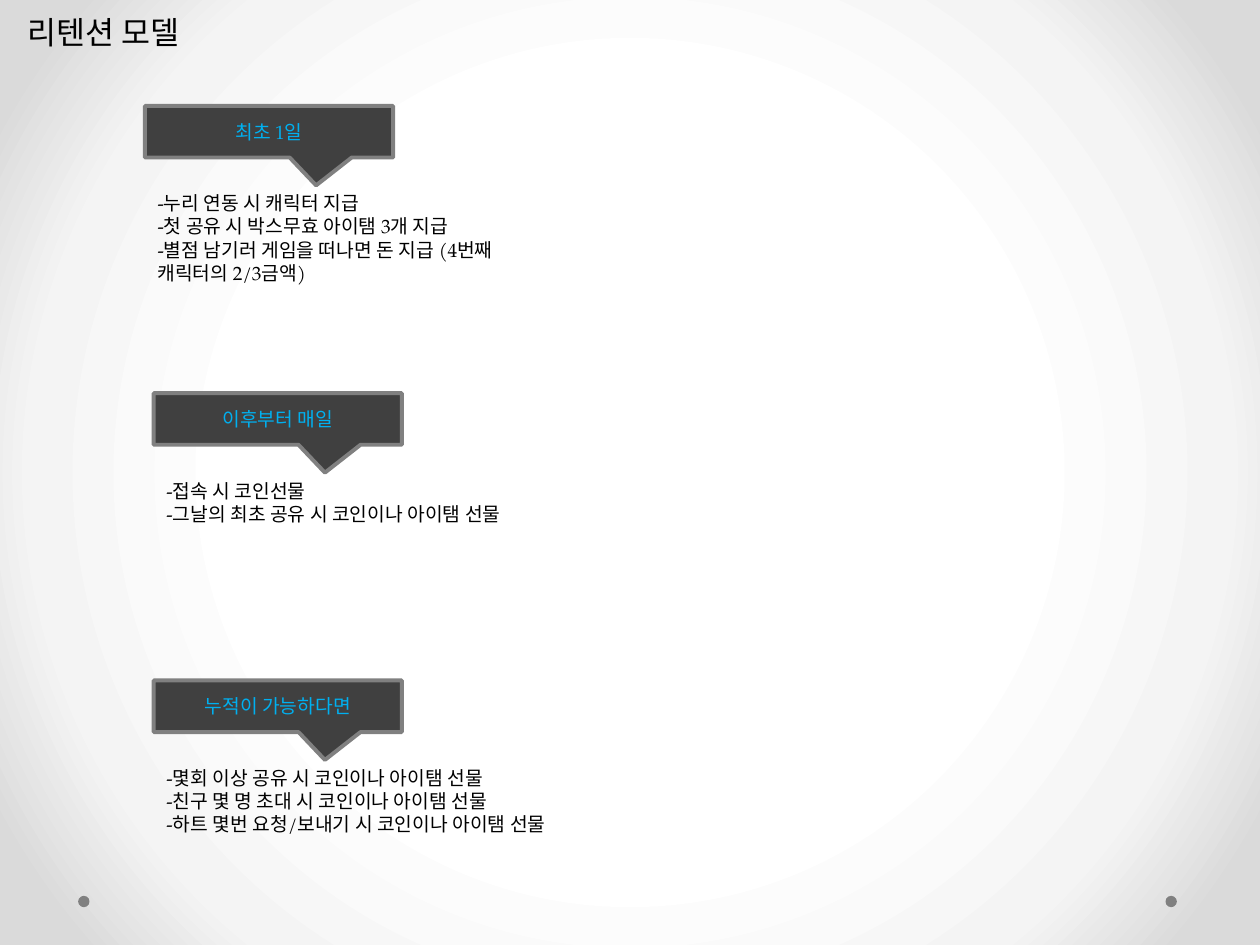
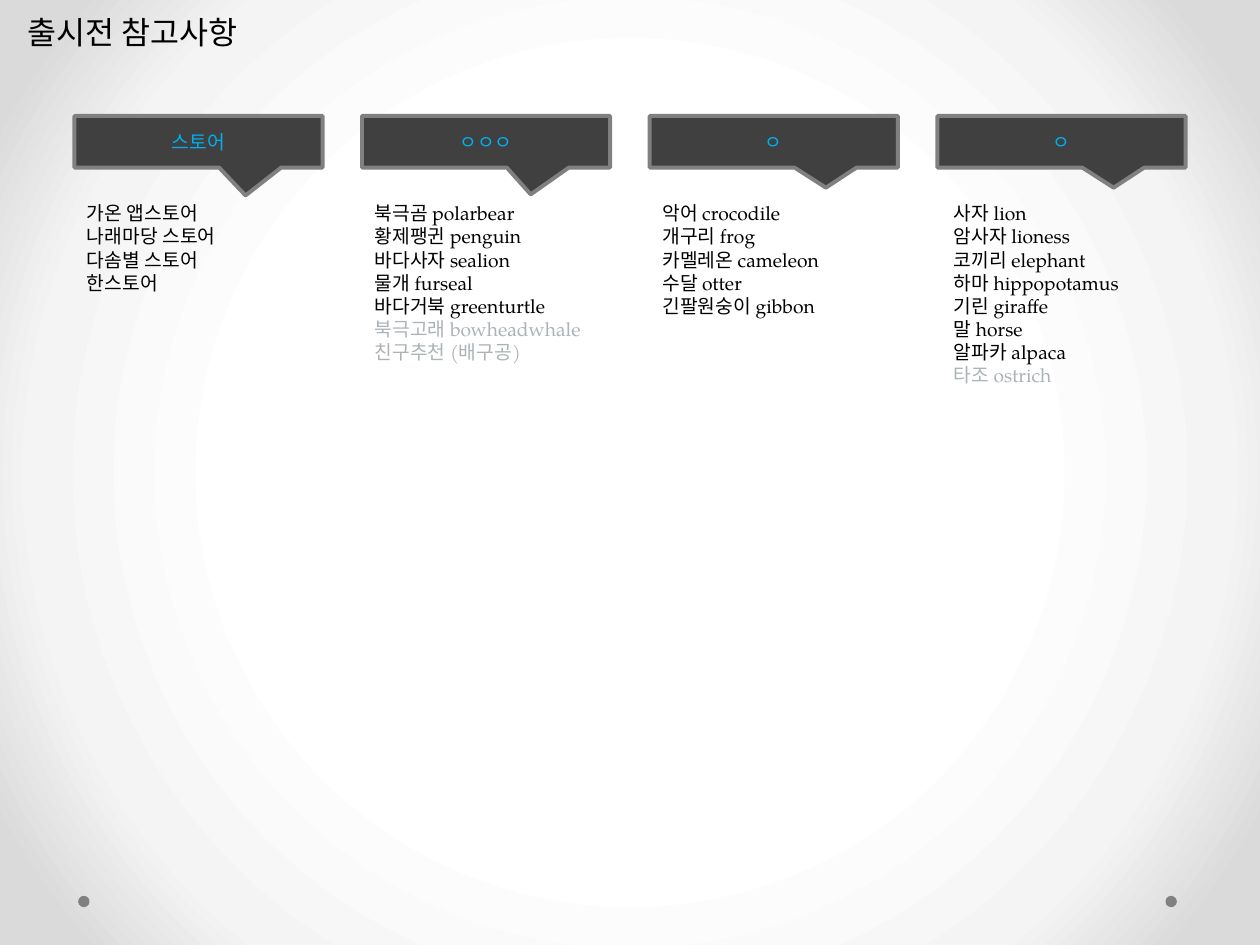
"""Build two slides of callout-headed lists for a game launch plan."""
from dataclasses import dataclass
from typing import Any

from pptx import Presentation
from pptx import oxml
from pptx import util as u
from pptx.dml.color import RGBColor
from pptx.enum import shapes, text
from pptx.oxml import ns


@dataclass(frozen=True)
class Theme:
    font: str = "TeX Gyre Pagella"
    title_size: int = 18
    text_size: int = 11
    ink: str = "000000"
    muted: str = "ACB3B6"
    accent: str = "00B0F0"
    band: str = "404040"
    edge: str = "808080"
    edge_width: float = 2.25
    glow: tuple[tuple[int, str], ...] = ((50, "FFFFFF"), (76, "F4F4F4"), (92, "DADADA"))


@dataclass(frozen=True)
class Card:
    heading: str
    lines: tuple[str, ...]
    width: float
    height: float
    tip: tuple[float, float] = (0.19, 1.04)
    muted_lines: int = 0
    list_shift: float = 0


@dataclass(frozen=True)
class Page:
    title: str
    cards: tuple[Card, ...]
    corners: tuple[tuple[float, float], ...]


THEME = Theme()
COMPARISON_LAYOUT = 4
CALLOUT_SIZE = (1.97, 0.41)
LIST_DROP = 0.63
DOT_SIZE = 0.09
DOT_TOP = 7.11
DOT_LEFTS = (0.62, 9.25)
ROW_STEP = 2.28
COLUMN_STEP = 6.85 / 3

PAGES = (
    Page(
        "리텐션 모델",
        (
            Card("최초 1일",
                 ("-누리 연동 시 캐릭터 지급",
                  "-첫 공유 시 박스무효 아이탬 3개 지급",
                  "-별점 남기러 게임을 떠나면 돈 지급 (4번째 캐릭터의 2/3금액)"),
                 3.27, 0.84),
            Card("이후부터 매일",
                 ("-접속 시 코인선물",
                  "-그날의 최초 공유 시 코인이나 아이탬 선물"),
                 5.51, 0.47),
            Card("누적이 가능하다면",
                 ("-몇회 이상 공유 시 코인이나 아이탬 선물",
                  "-친구 몇 명 초대 시 코인이나 아이탬 선물",
                  "-하트 몇번 요청/보내기 시 코인이나 아이탬 선물"),
                 5.91, 0.66),
        ),
        tuple((left, 0.84 + row * ROW_STEP) for row, left in enumerate((1.15, 1.22, 1.22))),
    ),
    Page(
        "출시전 참고사항",
        (
            Card("스토어",
                 ("가온 앱스토어", "나래마당 스토어", "다솜별 스토어", "한스토어"),
                 3.27, 0.84),
            Card("ㅇㅇㅇ",
                 ("북극곰 polarbear", "황제팽귄 penguin", "바다사자 sealion",
                  "물개 furseal", "바다거북 greenturtle",
                  "북극고래 bowheadwhale", "친구추천 (배구공)"),
                 2.44, 1.9, tip=(0.18, 1.02), muted_lines=2),
            Card("ㅇ",
                 ("악어 crocodile", "개구리 frog", "카멜레온 cameleon",
                  "수달 otter", "긴팔원숭이 gibbon"),
                 2.05, 1.63, tip=(0.21, 0.89)),
            Card("ㅇ",
                 ("사자 lion", "암사자 lioness", "코끼리 elephant", "하마 hippopotamus",
                  "기린 giraffe", "말 horse", "알파카 alpaca", "타조 ostrich"),
                 2.05, 2.42, tip=(0.21, 0.89), muted_lines=1, list_shift=0.03),
        ),
        tuple((0.59 + column * COLUMN_STEP, 0.92) for column in range(4)),
    ),
)


def apply_format(target: Any, values: dict[str, Any]) -> None:
    """Set every named attribute on the target."""
    for name, value in values.items():
        setattr(target, name, value)


def place(shape: Any, left: float, top: float, width: float, height: float) -> None:
    """Move and size a shape given in inches."""
    box = {"left": left, "top": top, "width": width, "height": height}
    apply_format(shape, {name: u.Inches(value) for name, value in box.items()})


def write_line(paragraph: Any, words: str, size: int, colour: str, align: Any) -> None:
    """Fill one unbulleted paragraph with formatted text."""
    paragraph.text = words
    apply_format(paragraph, {"alignment": align, "space_before": u.Pt(0)})
    apply_format(paragraph.font, {"name": THEME.font, "size": u.Pt(size), "bold": False})
    paragraph.font.color.rgb = RGBColor.from_string(colour)
    properties = paragraph.runs[0].font
    apply_format(properties, {"name": THEME.font, "size": u.Pt(size), "bold": False})
    properties.color.rgb = RGBColor.from_string(colour)
    layout = paragraph._p.get_or_add_pPr()
    layout.set("marL", "0")
    layout.set("indent", "0")
    layout.append(oxml.parse_xml(f"<a:buNone {ns.nsdecls('a')}/>"))


def fill_placeholder(placeholder: Any, lines: tuple[str, ...], size: int, muted_lines: int = 0) -> None:
    """Write lines from the top left, with the last ones muted."""
    frame = placeholder.text_frame
    apply_format(frame, {
        "word_wrap": True,
        "auto_size": text.MSO_AUTO_SIZE.SHAPE_TO_FIT_TEXT,
        "vertical_anchor": text.MSO_ANCHOR.TOP,
    })
    for index, line in enumerate(lines):
        paragraph = frame.add_paragraph() if index else frame.paragraphs[0]
        colour = THEME.muted if index >= len(lines) - muted_lines else THEME.ink
        write_line(paragraph, line, size, colour, text.PP_ALIGN.LEFT)


def add_filled(slide: Any, kind: Any, box: tuple[float, ...], colour: str) -> Any:
    """Add a flat preset shape without an outline."""
    shape = slide.shapes.add_shape(kind, *map(u.Inches, box))
    shape.shadow.inherit = False
    shape.fill.solid()
    shape.fill.fore_color.rgb = RGBColor.from_string(colour)
    shape.line.fill.background()
    return shape


def add_card(slide: Any, placeholder: Any, card: Card, left: float, top: float) -> None:
    """Draw a heading callout with its list beneath."""
    place(placeholder, left + card.list_shift, top + LIST_DROP, card.width, card.height)
    fill_placeholder(placeholder, card.lines, THEME.text_size, card.muted_lines)
    callout = add_filled(slide, shapes.MSO_SHAPE.RECTANGULAR_CALLOUT,
                         (left, top, *CALLOUT_SIZE), THEME.band)
    callout.line.color.rgb = RGBColor.from_string(THEME.edge)
    callout.line.width = u.Pt(THEME.edge_width)
    for index, value in enumerate(card.tip):
        callout.adjustments[index] = value
    callout.text_frame.vertical_anchor = text.MSO_ANCHOR.MIDDLE
    write_line(callout.text_frame.paragraphs[0], card.heading,
               THEME.text_size, THEME.accent, text.PP_ALIGN.CENTER)


def add_page(presentation: Any, page: Page) -> Any:
    """Add a slide with its title and cards."""
    slide = presentation.slides.add_slide(presentation.slide_layouts[COMPARISON_LAYOUT])
    place(slide.shapes.title, 0.12, 0.05, 7.01, 0.4)
    fill_placeholder(slide.shapes.title, (page.title,), THEME.title_size)
    bodies = [item for item in slide.placeholders if item.placeholder_format.idx]
    for body, card, corner in zip(bodies, page.cards, page.corners):
        add_card(slide, body, card, *corner)
    for spare in bodies[len(page.cards):]:
        spare._element.getparent().remove(spare._element)
    return slide


def style_master(master: Any, slide: Any) -> None:
    """Give the master its radial background and footer dots."""
    master.background.fill.solid()
    stops = "".join(f'<a:gs pos="{position * 1000}"><a:srgbClr val="{colour}"/></a:gs>'
                    for position, colour in THEME.glow)
    gradient = oxml.parse_xml(
        f'<a:gradFill {ns.nsdecls("a")} rotWithShape="1"><a:gsLst>{stops}</a:gsLst>'
        '<a:path path="circle"><a:fillToRect l="50000" t="50000" r="50000" b="50000"/>'
        "</a:path></a:gradFill>")
    properties = master._element.find(f".//{ns.qn('p:bgPr')}")
    properties.replace(properties[0], gradient)
    for number, left in enumerate(DOT_LEFTS):
        dot = add_filled(slide, shapes.MSO_SHAPE.OVAL,
                         (left, DOT_TOP, DOT_SIZE, DOT_SIZE), THEME.edge)
        dot._element.nvSpPr.cNvPr.set("id", str(100 + number))
        master.shapes._spTree.append(dot._element)


def main() -> None:
    """Build and save the presentation."""
    presentation = Presentation()
    apply_format(presentation, {"slide_width": u.Inches(10), "slide_height": u.Inches(7.5)})
    slides = [add_page(presentation, page) for page in PAGES]
    style_master(presentation.slide_master, slides[0])
    presentation.save("out.pptx")


if __name__ == "__main__":
    main()
